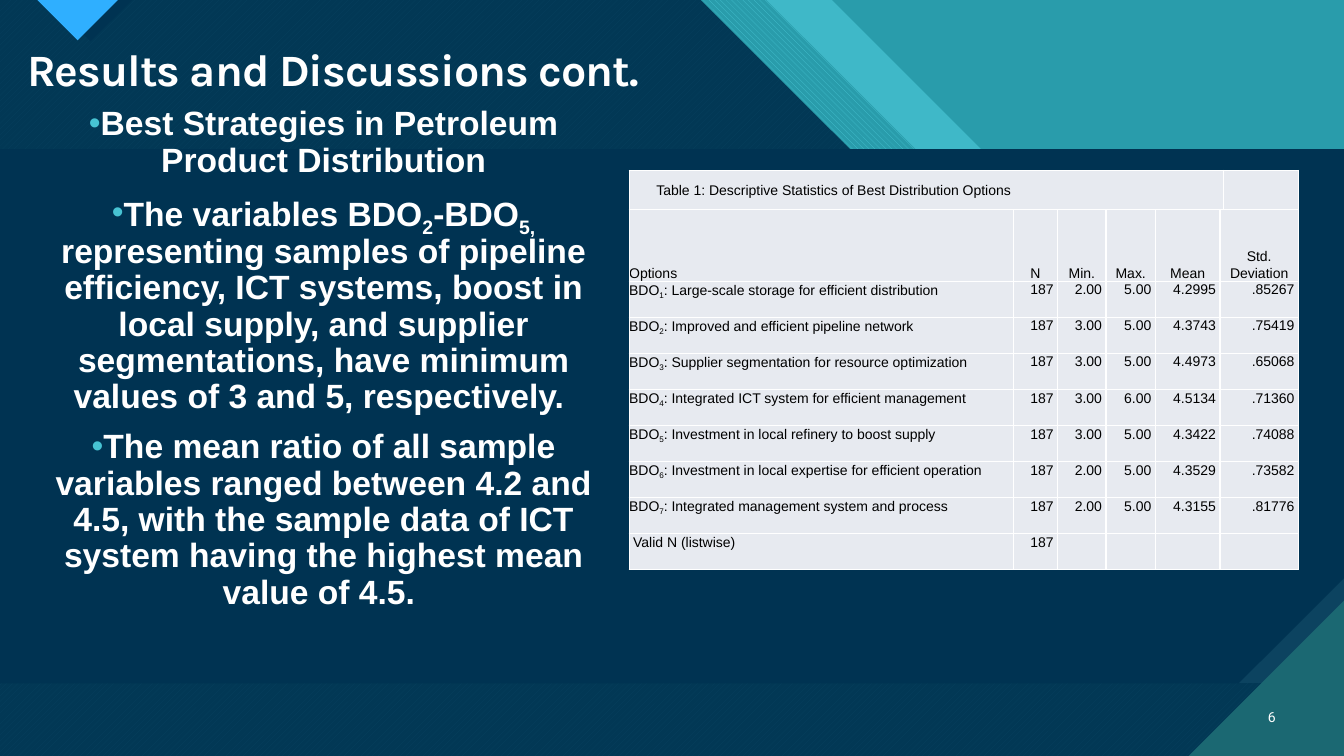
"""Build the results slide on petroleum product distribution strategies."""
import pptx
import pptx.dml.color
import pptx.enum.dml
import pptx.enum.shapes
import pptx.enum.text
import pptx.util
from lxml import etree
from pptx.util import Inches

THEME = {
    "teal": "299CAB", "aqua": "47C3D3", "deep_teal": "1B6872", "navy": "003352",
    "slate": "0C4360", "sky": "2FAFFF", "white": "FFFFFF", "black": "000000",
    "cell": "E7EAF0", "title_size": 32, "body_size": 24, "small_size": 10,
}
PATTERN = pptx.enum.dml.MSO_PATTERN
ALIGN = pptx.enum.text.PP_ALIGN
ANCHOR = pptx.enum.text.MSO_ANCHOR
DRAWING_NS = "http://schemas.openxmlformats.org/drawingml/2006/main"


def paint(shape, color, pattern=None, back=None, alpha=None):
    """Fill a borderless decoration, plain, patterned or translucent."""
    shape.shadow.inherit = False
    shape.line.fill.background()
    if pattern is None:
        shape.fill.solid()
    else:
        shape.fill.patterned()
        shape.fill.pattern = pattern
        shape.fill.back_color.rgb = pptx.dml.color.RGBColor.from_string(THEME[back])
    shape.fill.fore_color.rgb = pptx.dml.color.RGBColor.from_string(THEME[color])
    if alpha:
        tint = shape.fill._xPr.find(f".//{{{DRAWING_NS}}}srgbClr")
        etree.SubElement(tint, f"{{{DRAWING_NS}}}alpha", val=str(alpha * 1000))


def write(paragraph, marked, size, face, color, bold=False):
    """Add runs; text between underscores becomes subscript."""
    for index, piece in enumerate(marked.split("_")):
        run = paragraph.add_run()
        run.text = piece
        run.font.size = pptx.util.Pt(THEME[size])
        run.font.name = face
        run.font.bold = bold
        run.font.color.rgb = pptx.dml.color.RGBColor.from_string(THEME[color])
        if index % 2:
            run._r.get_or_add_rPr().set("baseline", "-25000")


deck = pptx.Presentation()
deck.slide_width, deck.slide_height = Inches(13.33), Inches(7.5)
slide = deck.slides.add_slide(deck.slide_layouts[6])
slide.background.fill.solid()
slide.background.fill.fore_color.rgb = pptx.dml.color.RGBColor.from_string(THEME["teal"])

sheet_fills = [
    (8.25, ("aqua", None, None, 74)),
    (7.6, ("aqua", PATTERN.WIDE_DOWNWARD_DIAGONAL, "teal")),
    (6.95, ("aqua", PATTERN.WIDE_UPWARD_DIAGONAL, "deep_teal")),
    (6.95, ("navy", None, None, 90)),
]
facets = []
for edge, fill in sheet_fills:
    step = edge + 2.97 + 1.26
    facets.append(([(0, 0), (edge, 0), (edge + 2.97, 2.97), (step, 2.97),
                    (13.33, 2.97 + 13.33 - step), (13.33, 7.5), (0, 7.5)], fill))
facets += [
    ([(0.48, 0), (0.9, 0.41), (1.31, 0)], ("navy",)),
    ([(0.37, 0), (0.77, 0.4), (1.17, 0)], ("sky",)),
]
panels = [(0, ("slate", PATTERN.DARK_VERTICAL, "deep_teal")), (0.197, ("navy",))]
corner = ([(11.79, 7.5), (13.33, 7.5), (13.33, 5.96)], ("deep_teal",))

for outline, fill in facets + panels + [corner]:
    if isinstance(outline, list):
        points = [(Inches(x), Inches(y)) for x, y in outline]
        builder = slide.shapes.build_freeform(*points[0])
        builder.add_line_segments(points[1:])
        paint(builder.convert_to_shape(), *fill)
    else:
        panel = slide.shapes.add_shape(
            pptx.enum.shapes.MSO_SHAPE.SNIP_1_RECTANGLE,
            Inches(0), Inches(1.48), Inches(13.33), Inches(5.3))
        panel.adjustments[0] = outline
        panel._element.spPr.xfrm.set("flipV", "1")
        paint(panel, *fill)

title = slide.shapes.add_textbox(Inches(0.17), Inches(0.42), Inches(7.23), Inches(0.59)).text_frame
title.word_wrap = True
title.vertical_anchor = ANCHOR.MIDDLE
heading = title.paragraphs[0]
heading.line_spacing = 0.9
write(heading, "Results and Discussions cont.", "title_size", "Karla", "white", True)
heading.runs[0]._r.get_or_add_rPr().set("spc", "-70")

page = slide.shapes.add_textbox(Inches(12.31), Inches(6.91), Inches(0.44), Inches(0.4)).text_frame
page.word_wrap = True
page.vertical_anchor = ANCHOR.MIDDLE
page.paragraphs[0].alignment = ALIGN.RIGHT
write(page.paragraphs[0], "6", "small_size", "Roboto", "white")

findings = [
    "Best Strategies in Petroleum Product Distribution",
    "The variables BDO_2_-BDO_5, _representing samples of pipeline efficiency, ICT systems, "
    "boost in local supply, and supplier segmentations, have minimum values of 3 and 5, "
    "respectively. ",
    "The mean ratio of all sample variables ranged between 4.2 and 4.5, with the sample data "
    "of ICT system having the highest mean value of 4.5. ",
]
body = slide.shapes.add_textbox(Inches(0.36), Inches(1.01), Inches(5.7), Inches(5.9)).text_frame
body.word_wrap = True
for index, finding in enumerate(findings):
    point = body.add_paragraph() if index else body.paragraphs[0]
    point.alignment = ALIGN.CENTER
    point.line_spacing = 0.9
    if index:
        point.space_before = pptx.util.Pt(10)
    properties = point._p.get_or_add_pPr()
    properties.set("marL", "0")
    properties.set("indent", "0")
    bullet_color = etree.SubElement(properties, f"{{{DRAWING_NS}}}buClr")
    etree.SubElement(bullet_color, f"{{{DRAWING_NS}}}srgbClr", val=THEME["aqua"])
    etree.SubElement(properties, f"{{{DRAWING_NS}}}buFont", typeface="Arial")
    etree.SubElement(properties, f"{{{DRAWING_NS}}}buChar", char="•")
    write(point, finding, "body_size", "Arial", "white", True)

statistics = [
    ["Table 1: Descriptive Statistics of Best Distribution Options"],
    ["Options", "N", "Min.", "Max.", "Mean", "Std. Deviation"],
    ["BDO_1_: Large-scale storage for efficient distribution",
     "187", "2.00", "5.00", "4.2995", ".85267"],
    ["BDO_2_: Improved and efficient pipeline network",
     "187", "3.00", "5.00", "4.3743", ".75419"],
    ["BDO_3_: Supplier segmentation for resource optimization",
     "187", "3.00", "5.00", "4.4973", ".65068"],
    ["BDO_4_: Integrated ICT system for efficient management",
     "187", "3.00", "6.00", "4.5134", ".71360"],
    ["BDO_5_: Investment in local refinery to boost supply",
     "187", "3.00", "5.00", "4.3422", ".74088"],
    ["BDO_6_: Investment in local expertise for efficient operation",
     "187", "2.00", "5.00", "4.3529", ".73582"],
    ["BDO_7_: Integrated management system and process",
     "187", "2.00", "5.00", "4.3155", ".81776"],
    ["Valid N (listwise)", "187"],
]
column_widths = [3.81, 0.44, 0.48, 0.49, 0.64, 0.03, 0.74]
row_heights = [0.39, 0.71] + [(3.96 - 0.39 - 0.71) / 8] * 8
table = slide.shapes.add_table(
    len(row_heights), len(column_widths), Inches(6.24), Inches(1.69),
    Inches(sum(column_widths)), Inches(sum(row_heights))).table
table.first_row = table.horz_banding = False
for column, width in zip(table.columns, column_widths):
    column.width = Inches(width)
for row, height in zip(table.rows, row_heights):
    row.height = Inches(height)

last_row = len(statistics) - 1
for row in range(len(row_heights)):
    for column in range(len(column_widths)):
        cell = table.cell(row, column)
        cell.margin_left = cell.margin_right = cell.margin_top = cell.margin_bottom = 0
        cell.vertical_anchor = {0: ANCHOR.MIDDLE, 1: ANCHOR.BOTTOM}.get(row, ANCHOR.TOP)
        for edge in ("lnL", "lnR", "lnT", "lnB"):
            border = etree.SubElement(
                cell._tc.get_or_add_tcPr(), f"{{{DRAWING_NS}}}{edge}", w="12700")
            ink = etree.SubElement(border, f"{{{DRAWING_NS}}}solidFill")
            etree.SubElement(ink, f"{{{DRAWING_NS}}}srgbClr", val=THEME["white"])
        cell.fill.solid()
        cell.fill.fore_color.rgb = pptx.dml.color.RGBColor.from_string(THEME["cell"])
    for column, value in enumerate(statistics[row]):
        entry = table.cell(row, column).text_frame.paragraphs[0]
        entry.line_spacing = 1.07
        side = 0.04 if column or row == last_row else 0
        properties = entry._p.get_or_add_pPr()
        properties.set("marL", str(Inches(side if row else 0.27)))
        properties.set("marR", str(Inches(side)))
        if column:
            entry.alignment = ALIGN.CENTER if row == 1 else ALIGN.RIGHT
        write(entry, value, "small_size", "Arial", "black")
    first, last = (0, 5) if row == 0 else (5, 6)
    table.cell(row, first).merge(table.cell(row, last))

deck.save("out.pptx")
